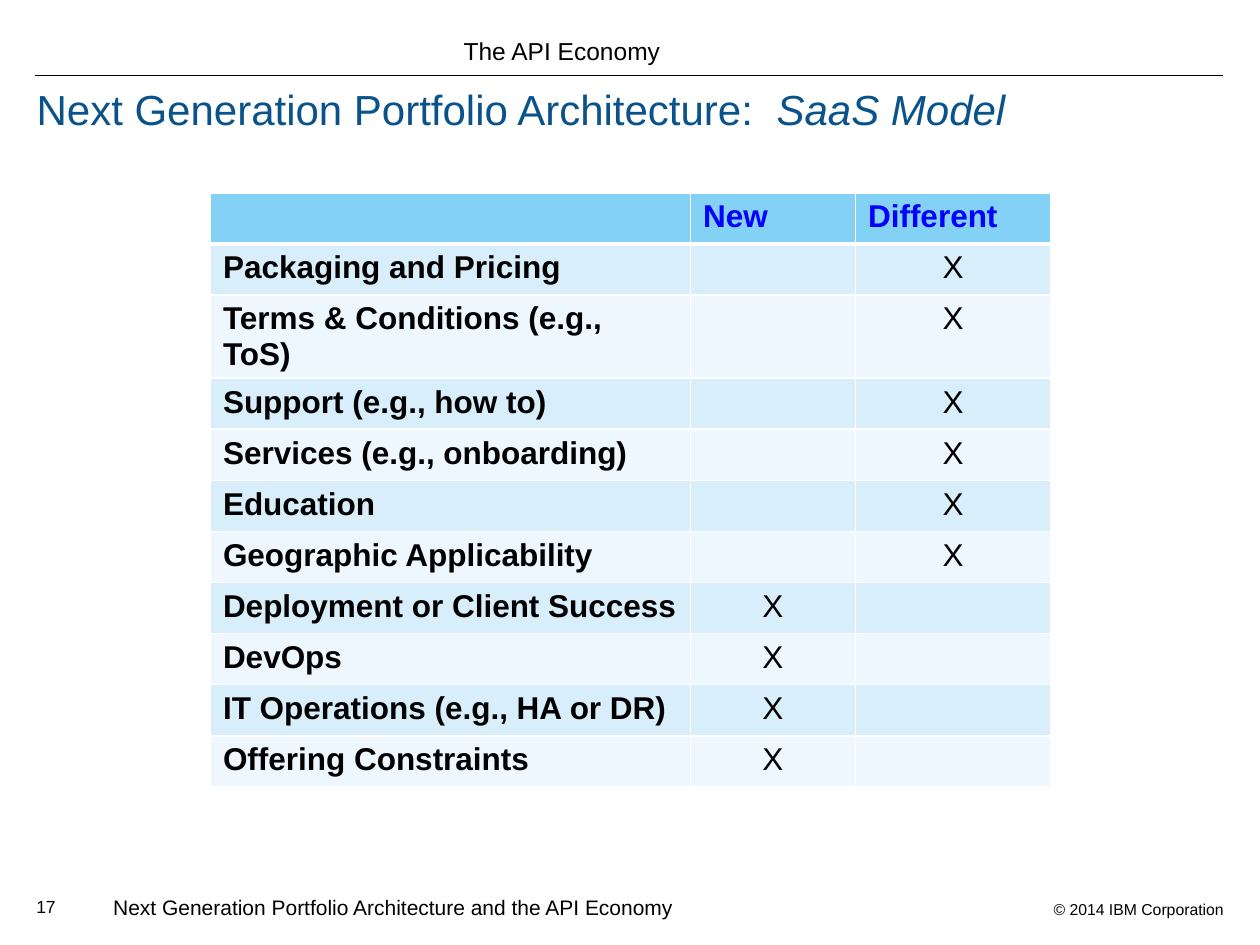
from dataclasses import dataclass

from lxml.etree import SubElement
from pptx import Presentation
from pptx.dml.color import RGBColor
from pptx.enum.shapes import MSO_CONNECTOR
from pptx.enum.text import MSO_ANCHOR as Anchor, MSO_AUTO_SIZE as AutoSize, PP_ALIGN as Align
from pptx.oxml.ns import qn
from pptx.util import Inches, Pt


@dataclass(frozen=True)
class Theme:
    font: str = "Arial"
    ink: str = "000000"
    title: str = "0A538A"
    heading: str = "0000FF"
    header_fill: str = "83D1F5"
    bands: tuple = ("D9EEFB", "EDF7FD")
    border: str = "FFFFFF"
    title_size: int = 24
    table_size: int = 18
    section_size: int = 14
    footer_size: int = 12
    number_size: int = 10
    copyright_size: int = 9


THEME = Theme()
TITLE = [("Next Generation Portfolio Architecture:  ", False), ("SaaS Model", True)]
HEADINGS = ["", "New", "Different"]
TOPICS = [
    ("Packaging and Pricing", "Different"),
    ("Terms & Conditions (e.g., ToS)", "Different"),
    ("Support (e.g., how to)", "Different"),
    ("Services (e.g., onboarding)", "Different"),
    ("Education", "Different"),
    ("Geographic Applicability", "Different"),
    ("Deployment or Client Success", "New"),
    ("DevOps", "New"),
    ("IT Operations (e.g., HA or DR)", "New"),
    ("Offering Constraints", "New"),
]
COLUMN_WIDTHS = [3.81, 1.31, 1.55]
LABELS = [
    ("© 2014 IBM Corporation", (6.47, 7.09, 3.34, 0.25),
     dict(size=THEME.copyright_size, align=Align.RIGHT), {}),
    ("17", (0.19, 7.06, 0.6, 0.27), dict(size=THEME.number_size), {}),
    ("The API Economy", (3.68, 0.03, 3.44, 0.54),
     dict(size=THEME.section_size), dict(left=0, anchor=Anchor.BOTTOM)),
    ("Next Generation Portfolio Architecture and the API Economy", (0.8, 7.05, 4.69, 0.3),
     dict(size=THEME.footer_size), dict(wrap=False)),
]


def write(frame, text, size, color=THEME.ink, bold=False, align=Align.LEFT, spacing=None):
    paragraph = frame.paragraphs[0]
    paragraph.alignment = align
    if spacing:
        paragraph.line_spacing = spacing
    pieces = [(text, False)] if isinstance(text, str) else text
    for words, italic in pieces:
        run = paragraph.add_run()
        run.text = words
        font = run.font
        font.name, font.size = THEME.font, Pt(size)
        font.bold, font.italic = bold, italic
        font.color.rgb = RGBColor.from_string(color)


def set_frame(frame, left=0.1, right=0.1, anchor=Anchor.TOP, wrap=True):
    frame.auto_size = AutoSize.NONE
    frame.word_wrap = wrap
    frame.vertical_anchor = anchor
    frame.margin_left, frame.margin_right = Inches(left), Inches(right)
    frame.margin_top = frame.margin_bottom = Inches(0.05)


def style_cell(cell, fill, top, bottom):
    properties = cell._tc.get_or_add_tcPr()
    for side, width in (("lnL", 1), ("lnR", 1), ("lnT", top), ("lnB", bottom)):
        line = SubElement(properties, qn(f"a:{side}"), w=str(Pt(width)))
        SubElement(SubElement(line, qn("a:solidFill")), qn("a:srgbClr"), val=THEME.border)
    cell.fill.solid()
    cell.fill.fore_color.rgb = RGBColor.from_string(fill)


def add_rule(slide):
    rule = slide.shapes.add_connector(
        MSO_CONNECTOR.STRAIGHT, Inches(0.28), Inches(0.6), Inches(9.71), Inches(0.6))
    rule.line.color.rgb = RGBColor.from_string(THEME.ink)
    rule.line.width = Pt(0.75)
    SubElement(rule._element.spPr, qn("a:effectLst"))


def add_title(slide):
    title = slide.shapes.title
    title.left, title.top, title.width, title.height = map(Inches, (0.29, 0.67, 9.46, 1.25))
    set_frame(title.text_frame, left=0, right=0)
    write(title.text_frame, TITLE, THEME.title_size, color=THEME.title, spacing=0.85)


def add_topics(slide):
    table = slide.shapes.add_table(
        len(TOPICS) + 1, len(HEADINGS), Inches(1.67), Inches(1.53),
        Inches(sum(COLUMN_WIDTHS)), Inches(4.46)).table
    for column, width in zip(table.columns, COLUMN_WIDTHS):
        column.width = Inches(width)
    for c, heading in enumerate(HEADINGS):
        header = table.cell(0, c)
        style_cell(header, THEME.header_fill, 1, 3)
        if heading:
            write(header.text_frame, heading, THEME.table_size, THEME.heading, bold=True)
        for r, (topic, mark) in enumerate(TOPICS, start=1):
            cell = table.cell(r, c)
            style_cell(cell, THEME.bands[(r - 1) % 2], 3 if r == 1 else 1, 1)
            if c == 0:
                write(cell.text_frame, topic, THEME.table_size, bold=True)
            elif heading == mark:
                write(cell.text_frame, "X", THEME.table_size, align=Align.CENTER)


def main():
    deck = Presentation()
    deck.slide_width, deck.slide_height = Inches(10), Inches(7.5)
    slide = deck.slides.add_slide(deck.slide_layouts[5])
    add_rule(slide)
    add_title(slide)
    for text, place, text_format, frame_format in LABELS:
        frame = slide.shapes.add_textbox(*map(Inches, place)).text_frame
        set_frame(frame, **frame_format)
        write(frame, text, **text_format)
    add_topics(slide)
    deck.save("out.pptx")


if __name__ == "__main__":
    main()
